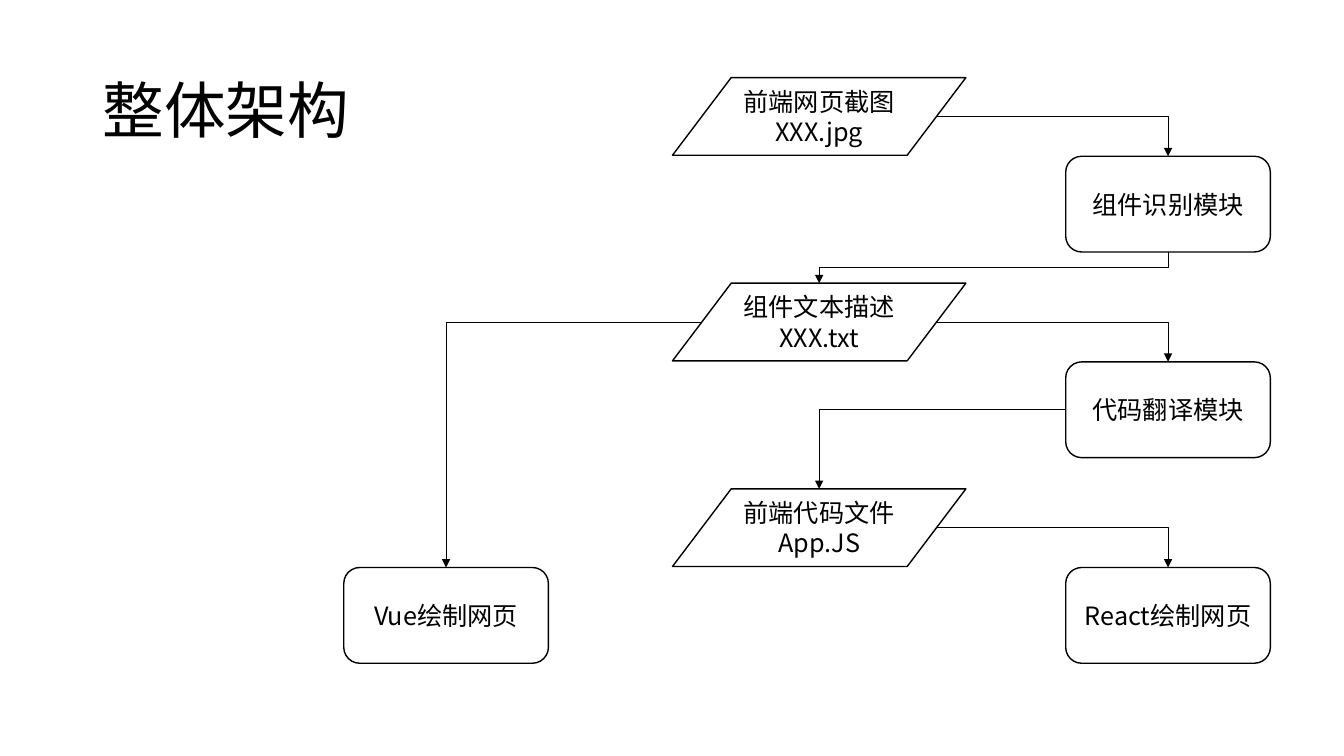
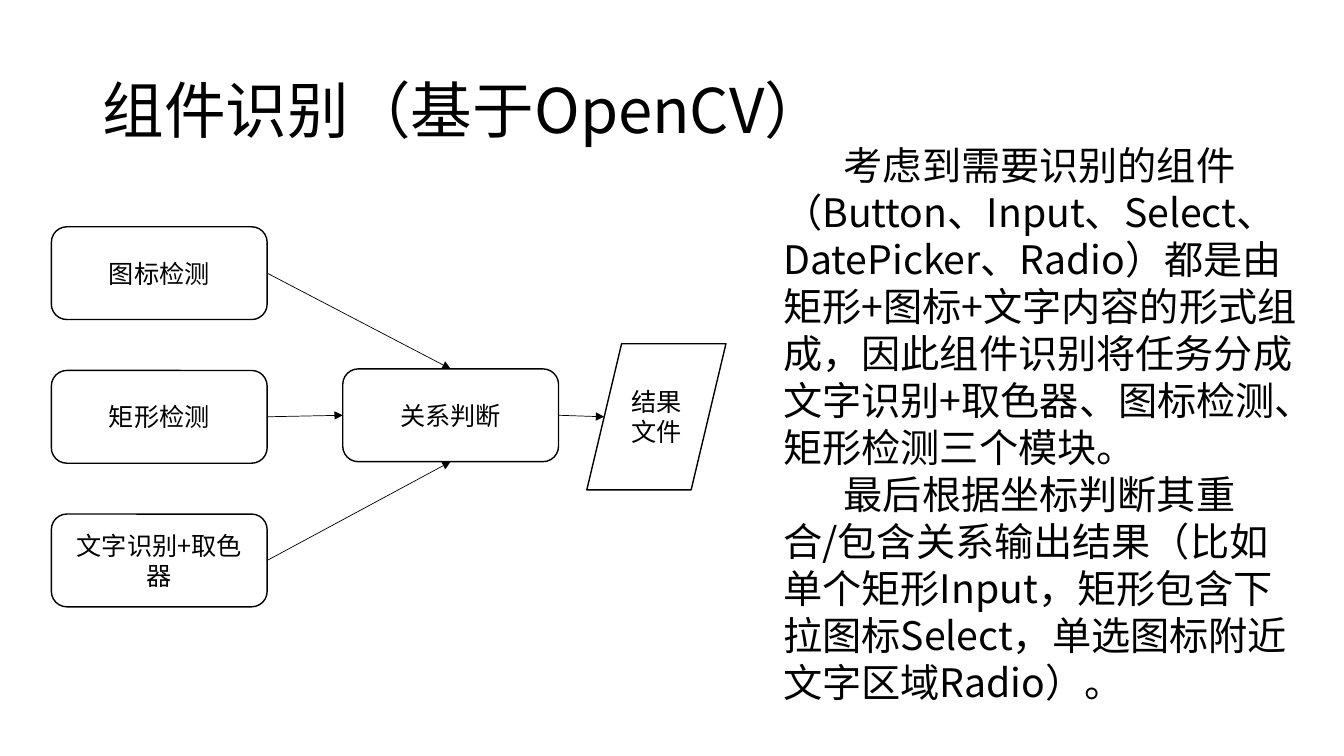
from dataclasses import dataclass

from lxml.etree import SubElement
from pptx import Presentation
from pptx.dml.color import RGBColor
from pptx.enum.shapes import MSO_CONNECTOR, MSO_SHAPE
from pptx.enum.text import MSO_ANCHOR, PP_ALIGN
from pptx.oxml.ns import qn
from pptx.util import Inches, Pt


@dataclass(frozen=True)
class Theme:
    font: str = "Noto Sans CJK SC"
    ink: RGBColor = RGBColor(0, 0, 0)
    paper: RGBColor = RGBColor(255, 255, 255)
    title: int = 44
    body: int = 28
    label: int = 18
    edge: float = 1
    wire: float = 0.5


THEME = Theme()
STEP = MSO_SHAPE.ROUNDED_RECTANGLE
DATA = MSO_SHAPE.FLOWCHART_DATA
FILE = MSO_SHAPE.PARALLELOGRAM

# Connection sites: index, then place as a share of width and height
SITES = {
    STEP: {"top": (0, 0.5, 0), "left": (1, 0, 0.5),
           "bottom": (2, 0.5, 1), "right": (3, 1, 0.5)},
    DATA: {"top": (1, 0.5, 0), "left": (2, 0.1, 0.5), "right": (5, 0.9, 0.5)},
    FILE: {"left": (2, 0.125, 0.5)},
}

# Overall flow: rows repeat at one pitch, each module starts below its data
PITCH, DATA_TOP, STEP_TOP = 2.04, 0.77, 1.55
DATA_X, STEP_X, VUE_X = 6.67, 10.57, 3.41
DATA_SIZE, STEP_SIZE = (2.91, 0.77), (2.03, 0.95)
ROWS = [
    ("shot", "前端网页截图 XXX.jpg", "detect", "组件识别模块"),
    ("desc", "组件文本描述 XXX.txt", "convert", "代码翻译模块"),
    ("code", "前端代码文件 App.JS", "react", "React绘制网页"),
]
FLOW = [
    ("shot", "right", "detect", "top", "bend"),
    ("detect", "bottom", "desc", "top", "drop"),
    ("desc", "right", "convert", "top", "bend"),
    ("convert", "left", "code", "top", "bend"),
    ("code", "right", "react", "top", "bend"),
    ("desc", "left", "vue", "top", "bend"),
]

# Detection: three checks feed one judgement
CHECKS = [("icon", "图标检测"), ("rect", "矩形检测"), ("text", "文字识别+取色器")]
CHECK_SIZE, CHECK_X, CHECK_TOP, CHECK_PITCH = (2.14, 0.92), 0.51, 2.25, 1.425
LINKS = [
    ("icon", "right", "judge", "top", "line"),
    ("text", "right", "judge", "bottom", "line"),
    ("rect", "right", "judge", "left", "line"),
    ("judge", "right", "result", "left", "line"),
]
NOTES = [
    "考虑到需要识别的组件（Button、Input、Select、DatePicker、Radio）都是由矩形+图标+文字内容的形式组成，"
    "因此组件识别将任务分成文字识别+取色器、图标检测、矩形检测三个模块。",
    "最后根据坐标判断其重合/包含关系输出结果（比如单个矩形Input，矩形包含下拉图标Select，"
    "单选图标附近文字区域Radio）。",
]


def write(frame, lines, size, anchor, indent=0, **form):
    frame.word_wrap = True
    frame.vertical_anchor = anchor
    for i, line in enumerate(lines):
        para = frame.paragraphs[0] if i == 0 else frame.add_paragraph()
        for key, value in form.items():
            setattr(para, key, value)
        if indent:
            para._p.get_or_add_pPr().set("indent", str(Inches(indent)))
        run = para.add_run()
        run.text = line
        run.font.name, run.font.size = THEME.font, Pt(size)
        run.font.color.rgb = THEME.ink
        SubElement(run.font._element, qn("a:ea"), typeface=THEME.font)


def add_text(slide, box, lines, size, anchor, **form):
    frame = slide.shapes.add_textbox(*map(Inches, box)).text_frame
    write(frame, lines, size, anchor, **form)


def add_title(slide, text):
    add_text(slide, (0.92, 0.4, 11.5, 1.45), [text], THEME.title,
             MSO_ANCHOR.MIDDLE, line_spacing=0.9)


def add_node(slide, kind, text, x, y, size):
    node = slide.shapes.add_shape(kind, *map(Inches, (x, y, *size)))
    node.shadow.inherit = False
    node.fill.solid()
    node.fill.fore_color.rgb = THEME.paper
    node.line.color.rgb = THEME.ink
    node.line.width = Pt(THEME.edge)
    write(node.text_frame, [text], THEME.label, MSO_ANCHOR.MIDDLE,
          alignment=PP_ALIGN.CENTER)
    return node


def site(node, side):
    index, across, down = SITES[node.auto_shape_type][side]
    return (index, int(node.left + node.width * across),
            int(node.top + node.height * down))


def turn(wire):
    """Turn an elbow a quarter so that it leaves downwards."""
    x, y, w, h = wire.left, wire.top, wire.width, wire.height
    wire.left, wire.top = x + (w - h) // 2, y + (h - w) // 2
    wire.width, wire.height = h, w
    frame = wire.element.spPr.find(qn("a:xfrm"))
    frame.attrib.pop("flipH", None)
    frame.set("rot", str(90 * 60000))


def add_wire(slide, nodes, link):
    """Join two nodes with an arrow: straight, one bend, or a drop with two."""
    start, out, end, into, form = link
    ends = [(nodes[start], out), (nodes[end], into)]
    (i, x1, y1), (j, x2, y2) = [site(*e) for e in ends]
    kind = MSO_CONNECTOR.STRAIGHT if form == "line" else MSO_CONNECTOR.ELBOW
    wire = slide.shapes.add_connector(kind, x1, y1, x2, y2)
    wire.line.color.rgb = THEME.ink
    wire.line.width = Pt(THEME.wire)
    props = wire.element.spPr
    if form == "bend":
        props.find(qn("a:prstGeom")).set("prst", "bentConnector2")
    elif form == "drop":
        turn(wire)
    SubElement(props.find(qn("a:ln")), qn("a:tailEnd"), type="triangle")
    SubElement(props, qn("a:effectLst"))
    glue = wire.element.find(".//" + qn("p:cNvCxnSpPr"))
    for tag, (node, _), index in zip(("a:stCxn", "a:endCxn"), ends, (i, j)):
        SubElement(glue, qn(tag), id=str(node.shape_id), idx=str(index))


def draw_flow(slide):
    add_title(slide, "整体架构")
    nodes = {}
    for i, (data, label, step, task) in enumerate(ROWS):
        drop = i * PITCH
        nodes[data] = add_node(slide, DATA, label, DATA_X, DATA_TOP + drop, DATA_SIZE)
        nodes[step] = add_node(slide, STEP, task, STEP_X, STEP_TOP + drop, STEP_SIZE)
    last = STEP_TOP + (len(ROWS) - 1) * PITCH
    nodes["vue"] = add_node(slide, STEP, "Vue绘制网页", VUE_X, last, STEP_SIZE)
    for link in FLOW:
        add_wire(slide, nodes, link)


def draw_detect(slide):
    add_title(slide, "组件识别（基于OpenCV）")
    nodes = {
        name: add_node(slide, STEP, label, CHECK_X, CHECK_TOP + i * CHECK_PITCH, CHECK_SIZE)
        for i, (name, label) in enumerate(CHECKS)
    }
    nodes["judge"] = add_node(slide, STEP, "关系判断", 3.4, 3.66, CHECK_SIZE)
    nodes["result"] = add_node(slide, FILE, "结果文件", 5.82, 3.41, (1.38, 1.45))
    for link in LINKS:
        add_wire(slide, nodes, link)
    add_text(slide, (7.67, 1.35, 5.35, 5.76), NOTES, THEME.body,
             MSO_ANCHOR.TOP, indent=0.6)


def main():
    deck = Presentation()
    deck.slide_width, deck.slide_height = Inches(13.33), Inches(7.5)
    for draw in (draw_flow, draw_detect):
        draw(deck.slides.add_slide(deck.slide_layouts[6]))
    deck.save("out.pptx")


if __name__ == "__main__":
    main()
